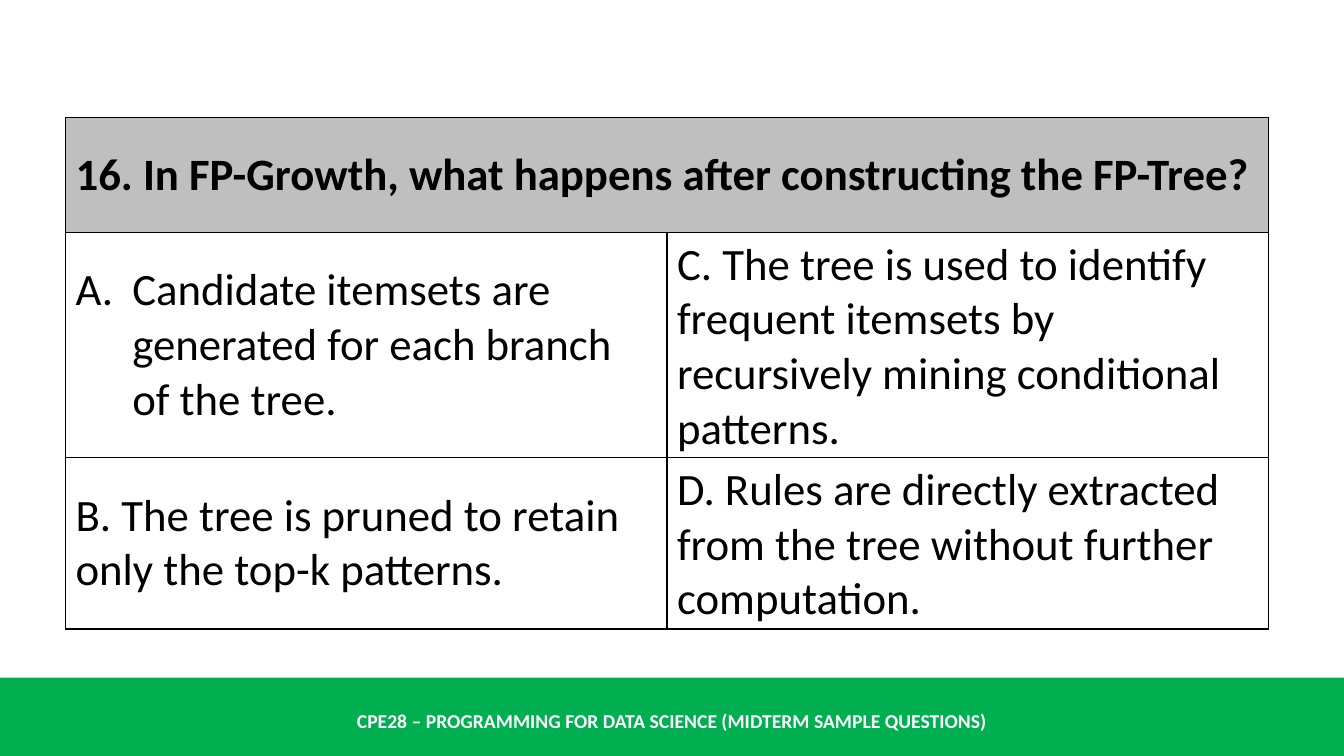
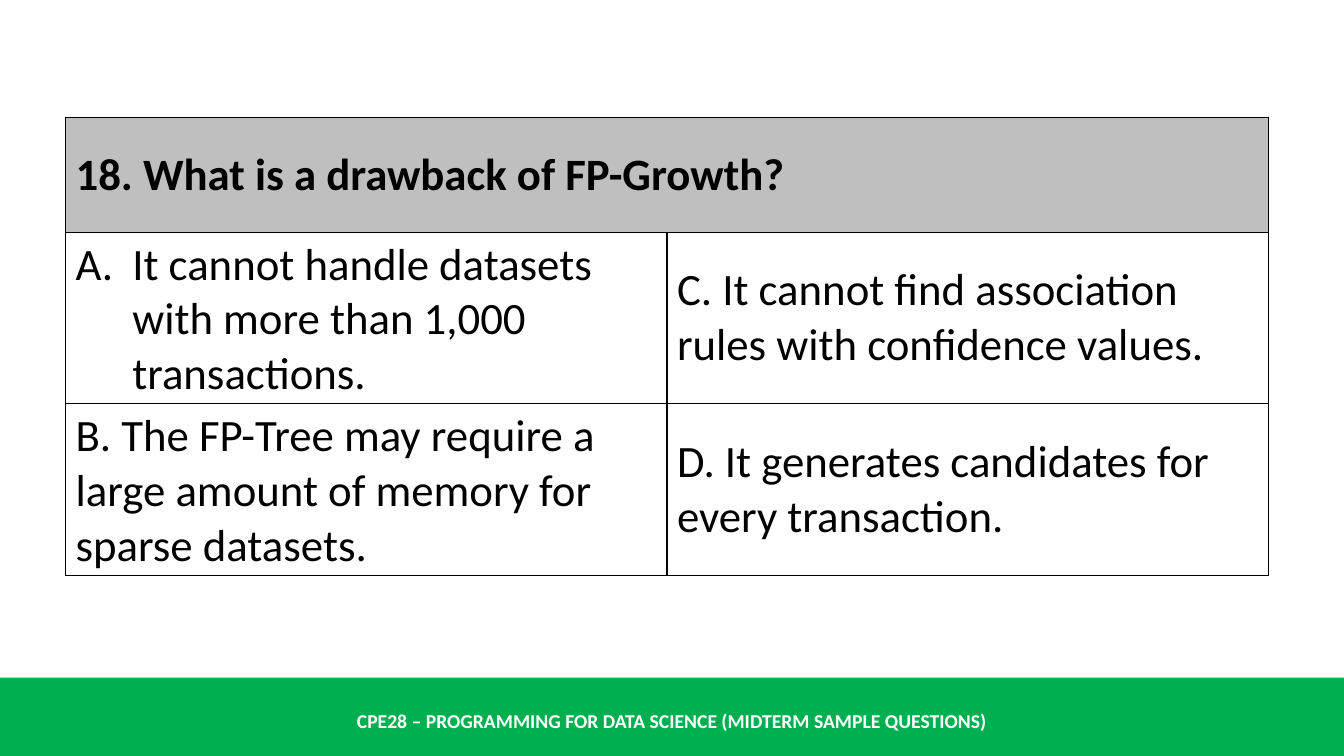
import dataclasses

import pptx
import pptx.dml.color
import pptx.enum.shapes
import pptx.enum.text
import pptx.oxml.ns
import pptx.util
from lxml import etree

Pt = pptx.util.Pt
RGB = pptx.dml.color.RGBColor
MIDDLE = pptx.enum.text.MSO_ANCHOR.MIDDLE
ALIGN = pptx.enum.text.PP_ALIGN


@dataclasses.dataclass(frozen=True)
class Theme:
    font: str = "Calibri"
    ink: str = "000000"
    paper: str = "FFFFFF"
    band: str = "00B050"
    question: str = "BFBFBF"
    quiz_size: int = 32
    footer_size: int = 14
    border: int = 1


# Page geometry in points
WIDTH, HEIGHT = 960, 540
BAND_TOP = 484
FOOTER_TOP, FOOTER_HEIGHT = 500.4, 28.8
QUIZ_LEFT, QUIZ_TOP, QUIZ_WIDTH = 46.8, 84, 859.2
ROW_HEIGHT = 82
LETTER_INDENT = 40.5

FOOTER = "CPE28 – PROGRAMMING FOR DATA SCIENCE (MIDTERM SAMPLE QUESTIONS)"

# Each question has its answers in the order A, B, C, D
QUIZ = [
    ("16. In FP-Growth, what happens after constructing the FP-Tree?",
     ["Candidate itemsets are generated for each branch of the tree.",
      "B. The tree is pruned to retain only the top-k patterns.",
      "C. The tree is used to identify frequent itemsets by recursively "
      "mining conditional patterns.",
      "D. Rules are directly extracted from the tree without further "
      "computation."]),
    ("18. What is a drawback of FP-Growth?",
     ["It cannot handle datasets with more than 1,000 transactions.",
      "B. The FP-Tree may require a large amount of memory for sparse "
      "datasets.",
      "C. It cannot find association rules with confidence values.",
      "D. It generates candidates for every transaction."]),
]


def add_xml(parent, tag, **attributes):
    return etree.SubElement(parent, pptx.oxml.ns.qn(tag), attributes)


class QuizDeck:
    """Holds the style and the current slide."""

    def __init__(self, theme):
        self.theme = theme
        self.deck = pptx.Presentation()
        self.deck.slide_width, self.deck.slide_height = Pt(WIDTH), Pt(HEIGHT)
        self.slide = None

    def new_slide(self):
        blank = self.deck.slide_layouts[6]
        self.slide = self.deck.slides.add_slide(blank)
        self.band()
        self.footer()

    def styled_text(self, paragraph, text, size, color, bold):
        paragraph.text = text
        style = {"name": self.theme.font, "size": Pt(size), "bold": bold}
        run = paragraph.runs[0]
        for name, value in style.items():
            setattr(run.font, name, value)
        run.font.color.rgb = RGB.from_string(color)

    # Parts shared by all slides
    def band(self):
        band = self.slide.shapes.add_shape(
            pptx.enum.shapes.MSO_SHAPE.RECTANGLE,
            0, Pt(BAND_TOP), Pt(WIDTH), Pt(HEIGHT - BAND_TOP))
        band.shadow.inherit = False
        band.fill.solid()
        band.fill.fore_color.rgb = RGB.from_string(self.theme.band)
        band.line.fill.background()

    def footer(self):
        frame = self.slide.shapes.add_textbox(
            0, Pt(FOOTER_TOP), Pt(WIDTH), Pt(FOOTER_HEIGHT)).text_frame
        for name, value in {"word_wrap": True,
                            "vertical_anchor": MIDDLE}.items():
            setattr(frame, name, value)
        course = frame.paragraphs[0]
        course.alignment = ALIGN.CENTER
        self.styled_text(course, FOOTER, self.theme.footer_size,
                         self.theme.paper, True)

    # Question table
    def borders(self, cell):
        properties = cell._tc.get_or_add_tcPr()
        for side in "LRTB":
            line = add_xml(properties, f"a:ln{side}",
                           w=str(Pt(self.theme.border)))
            fill = add_xml(line, "a:solidFill")
            add_xml(fill, "a:srgbClr", val=self.theme.ink)

    def letter(self, paragraph):
        properties = paragraph._p.get_or_add_pPr()
        properties.set("marL", str(Pt(LETTER_INDENT)))
        properties.set("indent", str(-Pt(LETTER_INDENT)))
        add_xml(properties, "a:buFont", typeface=self.theme.font)
        add_xml(properties, "a:buAutoNum", type="alphaUcPeriod")

    def quiz_cell(self, cell, text, bold=False):
        cell.vertical_anchor = MIDDLE
        self.styled_text(cell.text_frame.paragraphs[0], text,
                         self.theme.quiz_size, self.theme.ink, bold)

    def question(self, question, answers):
        table = self.slide.shapes.add_table(
            3, 2, Pt(QUIZ_LEFT), Pt(QUIZ_TOP),
            Pt(QUIZ_WIDTH), Pt(3 * ROW_HEIGHT)).table
        for name in ("first_row", "horz_banding"):
            setattr(table, name, False)
        for cell in table.iter_cells():
            self.borders(cell)
            cell.fill.background()

        heading = table.cell(0, 0)
        heading.merge(table.cell(0, 1))
        heading.fill.solid()
        heading.fill.fore_color.rgb = RGB.from_string(self.theme.question)
        self.quiz_cell(heading, question, bold=True)

        # Answers run down the left column, then the right
        self.letter(table.cell(1, 0).text_frame.paragraphs[0])
        for index, answer in enumerate(answers):
            column, row = divmod(index, 2)
            self.quiz_cell(table.cell(row + 1, column), answer)


def main():
    quiz = QuizDeck(Theme())
    for question, answers in QUIZ:
        quiz.new_slide()
        quiz.question(question, answers)
    quiz.deck.save("out.pptx")


if __name__ == "__main__":
    main()
